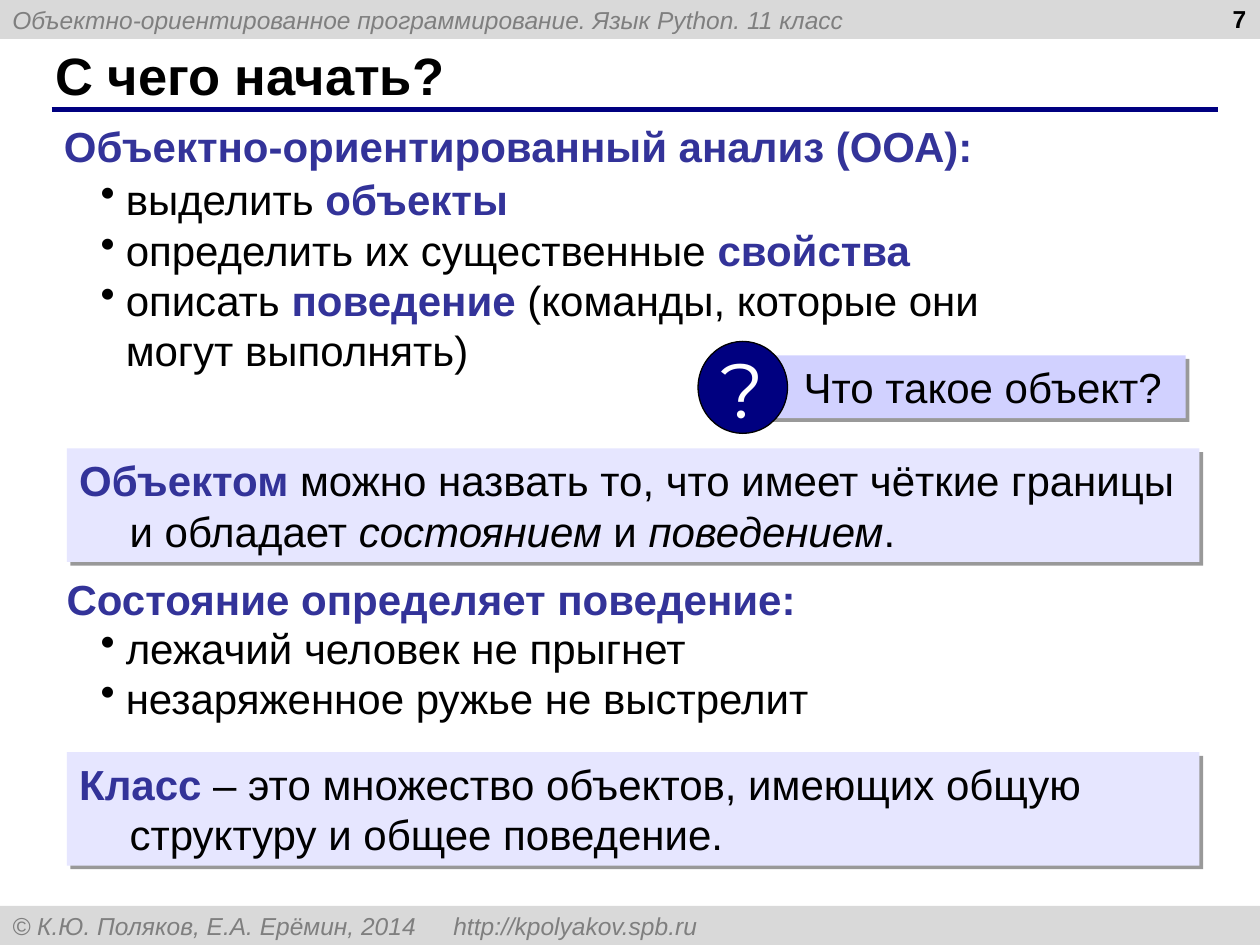
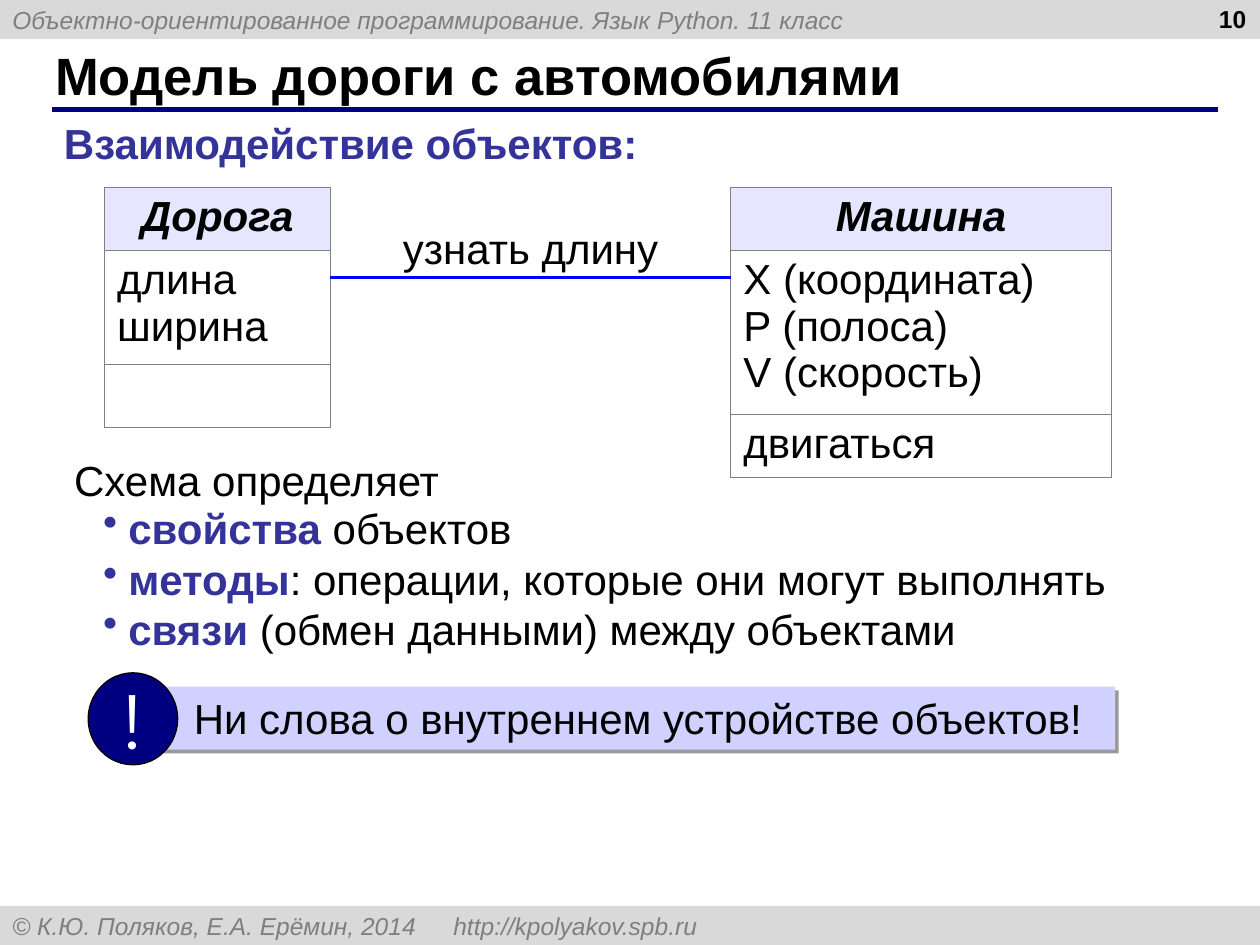
from dataclasses import dataclass
from typing import NamedTuple

from lxml import etree
from pptx import Presentation
from pptx.dml import color
from pptx.enum import shapes, text
from pptx.oxml import ns
from pptx.util import Inches, Pt

BLACK, WHITE, NAVY, ACCENT = "000000", "FFFFFF", "000080", "333399"
BAND, GRAY, PALE, CALLOUT, LINK = "D9D9D9", "7F7F7F", "E6E6FF", "D1D1FF", "0000FF"
LINE_HEIGHT, TABLE_LINE_HEIGHT = 28.8, 26.6
COURSE = "Объектно-ориентированное программирование. Язык Python. 11 класс"
FOOTER = "© К.Ю. Поляков, Е.А. Ерёмин, 2014\thttp://kpolyakov.spb.ru"


class Run(NamedTuple):
    text: str
    key: bool = False
    italic: bool = False


class Box(NamedTuple):
    left: float
    top: float
    width: float
    height: float

    def lengths(self) -> list:
        return [Inches(value) for value in self]


@dataclass
class Style:
    size: float = 24
    color: str = BLACK
    bold: bool = False
    italic: bool = False
    font: str = "Arial"
    align: text.PP_ALIGN = text.PP_ALIGN.LEFT
    anchor: text.MSO_ANCHOR = text.MSO_ANCHOR.TOP
    wrap: bool = True
    left: float = 0
    first: float = 0
    bullet: str = ""
    right_tab: float = 0
    line_height: float = 0


@dataclass
class ClassTable:
    name: str
    fields: list
    method: str
    left: float
    width: float
    fields_height: float


@dataclass
class Callout:
    sign: str
    message: str
    left: float
    top: float
    width: float


BODY = Style(line_height=LINE_HEIGHT)
HEADING = Style(color=ACCENT, bold=True, line_height=LINE_HEIGHT)
BULLETS = Style(left=0.2, first=-0.2, bullet=BLACK, line_height=LINE_HEIGHT)
ACCENT_BULLETS = Style(left=0.2, first=-0.2, bullet=ACCENT,
                       anchor=text.MSO_ANCHOR.MIDDLE, line_height=LINE_HEIGHT)
DEFINITION = Style(left=0.4, first=-0.4, line_height=LINE_HEIGHT)
MESSAGE = Style(left=0.19, line_height=LINE_HEIGHT)
SIGN = Style(44, WHITE, font="Montserrat", align=text.PP_ALIGN.CENTER,
             anchor=text.MSO_ANCHOR.MIDDLE, wrap=False)
BAND_TEXT = Style(14, GRAY, italic=True, anchor=text.MSO_ANCHOR.MIDDLE, right_tab=9.61)
TITLE = Style(30, bold=True, anchor=text.MSO_ANCHOR.MIDDLE)
NUMBER = Style(14, bold=True, align=text.PP_ALIGN.RIGHT)
CLASS_NAME = Style(bold=True, italic=True, align=text.PP_ALIGN.CENTER,
                   line_height=TABLE_LINE_HEIGHT)
MEMBER = Style(line_height=TABLE_LINE_HEIGHT)


def rgb(value: str) -> color.RGBColor:
    return color.RGBColor.from_string(value)


def add_xml(parent, tag: str, **attributes):
    element = etree.SubElement(parent, ns.qn(tag))
    for name, value in attributes.items():
        element.set(name, str(value))
    return element


def write(frame, lines: list, style: Style) -> None:
    frame.word_wrap = style.wrap
    for index, line in enumerate(lines):
        paragraph = frame.paragraphs[0] if index == 0 else frame.add_paragraph()
        paragraph.alignment = style.align
        if style.line_height:
            paragraph.line_spacing = Pt(style.line_height)
        properties = paragraph._p.get_or_add_pPr()
        properties.set("marL", str(Inches(style.left)))
        properties.set("indent", str(Inches(style.first)))
        if style.bullet:
            add_xml(add_xml(properties, "a:buClr"), "a:srgbClr", val=style.bullet)
            add_xml(properties, "a:buChar", char="•")
        if style.right_tab:
            tabs = add_xml(properties, "a:tabLst")
            add_xml(tabs, "a:tab", pos=Inches(style.right_tab), algn="r")
        font = paragraph.font
        font.name, font.size = style.font, Pt(style.size)
        font.bold, font.italic = style.bold, style.italic
        font.color.rgb = rgb(style.color)
        for part in [Run(line)] if isinstance(line, str) else line:
            run = paragraph.add_run()
            run.text = part.text
            if part.key:
                run.font.bold = True
                run.font.color.rgb = rgb(ACCENT)
            if part.italic:
                run.font.italic = True


def add_text(slide, box: Box, lines: list, style: Style) -> None:
    frame = slide.shapes.add_textbox(*box.lengths()).text_frame
    frame.vertical_anchor = style.anchor
    write(frame, lines, style)


def add_panel(parent, box: Box, fill: str, lines: list, style: Style,
              kind=shapes.MSO_SHAPE.RECTANGLE, outline: str = "", shadow: bool = False) -> None:
    shape = parent.add_shape(kind, *box.lengths())
    shape.shadow.inherit = False
    shape.fill.solid()
    shape.fill.fore_color.rgb = rgb(fill)
    if outline:
        shape.line.color.rgb = rgb(outline)
        shape.line.width = Pt(0.75)
    else:
        shape.line.fill.background()
    if shadow:
        effects = shape._element.spPr.find(ns.qn("a:effectLst"))
        outer = add_xml(effects, "a:outerShdw", dist=Pt(3), dir=45 * 60000,
                        algn="tl", rotWithShape=0)
        add_xml(add_xml(outer, "a:srgbClr", val=BLACK), "a:alpha", val=40000)
    shape.text_frame.vertical_anchor = style.anchor
    write(shape.text_frame, lines, style)


def add_line(slide, left: float, right: float, top: float, line_color: str, width: float) -> None:
    line = slide.shapes.add_connector(shapes.MSO_CONNECTOR.STRAIGHT, Inches(left),
                                      Inches(top), Inches(right), Inches(top))
    line.line.color.rgb = rgb(line_color)
    line.line.width = Pt(width)
    add_xml(line._element.spPr, "a:effectLst")


def add_callout(slide, callout: Callout) -> None:
    group = slide.shapes.add_group_shape().shapes
    add_panel(group, Box(callout.left + 0.55, callout.top + 0.11, callout.width, 0.5),
              CALLOUT, [callout.message], MESSAGE, shadow=True)
    add_panel(group, Box(callout.left, callout.top, 0.71, 0.73), NAVY, [callout.sign], SIGN,
              kind=shapes.MSO_SHAPE.OVAL, outline=BLACK)


def add_definition(slide, top: float, runs: list) -> None:
    add_panel(slide.shapes, Box(0.53, top, 8.99, 0.9), PALE, [runs], DEFINITION, shadow=True)


def add_class_table(slide, item: ClassTable) -> None:
    heights = [0.5, item.fields_height, 0.5]
    box = Box(item.left, 1.49, item.width, sum(heights))
    table = slide.shapes.add_table(3, 1, *box.lengths()).table
    table.first_row = table.horz_banding = False
    contents = [([item.name], CLASS_NAME), (item.fields, MEMBER), ([item.method], MEMBER)]
    for index, (lines, style) in enumerate(contents):
        table.rows[index].height = Inches(heights[index])
        cell = table.cell(index, 0)
        write(cell.text_frame, lines, style)
        properties = cell._tc.get_or_add_tcPr()
        for side in ("a:lnL", "a:lnR", "a:lnT", "a:lnB"):
            border = add_xml(properties, side, w=Pt(0.45))
            add_xml(add_xml(border, "a:solidFill"), "a:srgbClr", val=GRAY)
        if index == 0:
            cell.fill.solid()
            cell.fill.fore_color.rgb = rgb(PALE)
        else:
            cell.fill.background()


def add_slide(presentation, title: str, number: int):
    slide = presentation.slides.add_slide(presentation.slide_layouts[6])
    for top, label in ((0, COURSE), (7.19, FOOTER)):
        add_panel(slide.shapes, Box(0, top, 10, 0.31), BAND, [label], BAND_TEXT)
    add_line(slide, 0.41, 9.67, 0.87, NAVY, 3)
    add_text(slide, Box(0.34, 0.33, 9.16, 0.52), [title], TITLE)
    add_text(slide, Box(7.66, -0.02, 2.33, 0.52), [str(number)], NUMBER)
    return slide


def build_analysis(presentation) -> None:
    slide = add_slide(presentation, "С чего начать?", 7)
    add_text(slide, Box(0.41, 0.91, 7.54, 0.5),
             ["Объектно-ориентированный анализ (ООА):"], HEADING)
    add_text(slide, Box(0.7, 1.33, 7.54, 1.7), [
        [Run("выделить "), Run("объекты", key=True)],
        [Run("определить их существенные "), Run("свойства", key=True)],
        [Run("описать "), Run("поведение", key=True),
         Run(" (команды, которые они могут выполнять)")],
    ], BULLETS)
    add_callout(slide, Callout("?", "Что такое объект?", 5.54, 2.71, 3.32))
    add_definition(slide, 3.56, [
        Run("Объектом", key=True),
        Run(" можно назвать то, что имеет чёткие границы и обладает "),
        Run("состоянием", italic=True), Run(" и "),
        Run("поведением", italic=True), Run("."),
    ])
    add_text(slide, Box(0.43, 4.5, 7.54, 0.5), ["Состояние определяет поведение:"], HEADING)
    add_text(slide, Box(0.7, 4.89, 7.54, 0.9),
             ["лежачий человек не прыгнет", "незаряженное ружье не выстрелит"], BULLETS)
    add_definition(slide, 5.97, [
        Run("Класс", key=True),
        Run(" – это множество объектов, имеющих общую структуру и общее поведение."),
    ])


def build_road_model(presentation) -> None:
    slide = add_slide(presentation, "Модель дороги с автомобилями", 10)
    add_text(slide, Box(0.41, 0.88, 7.54, 0.5), ["Взаимодействие объектов:"], HEADING)
    road = ClassTable("Дорога", ["длина", "ширина"], "", 0.83, 1.79, 0.9)
    car = ClassTable("Машина", ["X (координата)", "P (полоса)", "V (скорость)"],
                     "двигаться", 5.8, 3.02, 1.3)
    for item in (car, road):
        add_class_table(slide, item)
    add_text(slide, Box(3.1, 1.72, 2.23, 0.5), ["узнать длину"], BODY)
    add_line(slide, road.left + road.width, car.left, 2.2, LINK, 1.5)
    add_text(slide, Box(0.72, 3.94, 8.89, 1.3), [
        [Run("свойства", key=True), Run(" объектов")],
        [Run("методы", key=True), Run(": операции, которые они могут выполнять")],
        [Run("связи", key=True), Run(" (обмен данными) между объектами")],
    ], ACCENT_BULLETS)
    add_text(slide, Box(0.49, 3.56, 3.84, 0.5), ["Схема определяет"], BODY)
    add_callout(slide, Callout("!", "Ни слова о внутреннем устройстве объектов!",
                               0.7, 5.34, 7.6))


def main() -> None:
    presentation = Presentation()
    presentation.slide_width, presentation.slide_height = Inches(10), Inches(7.5)
    build_analysis(presentation)
    build_road_model(presentation)
    presentation.save("out.pptx")


if __name__ == "__main__":
    main()
